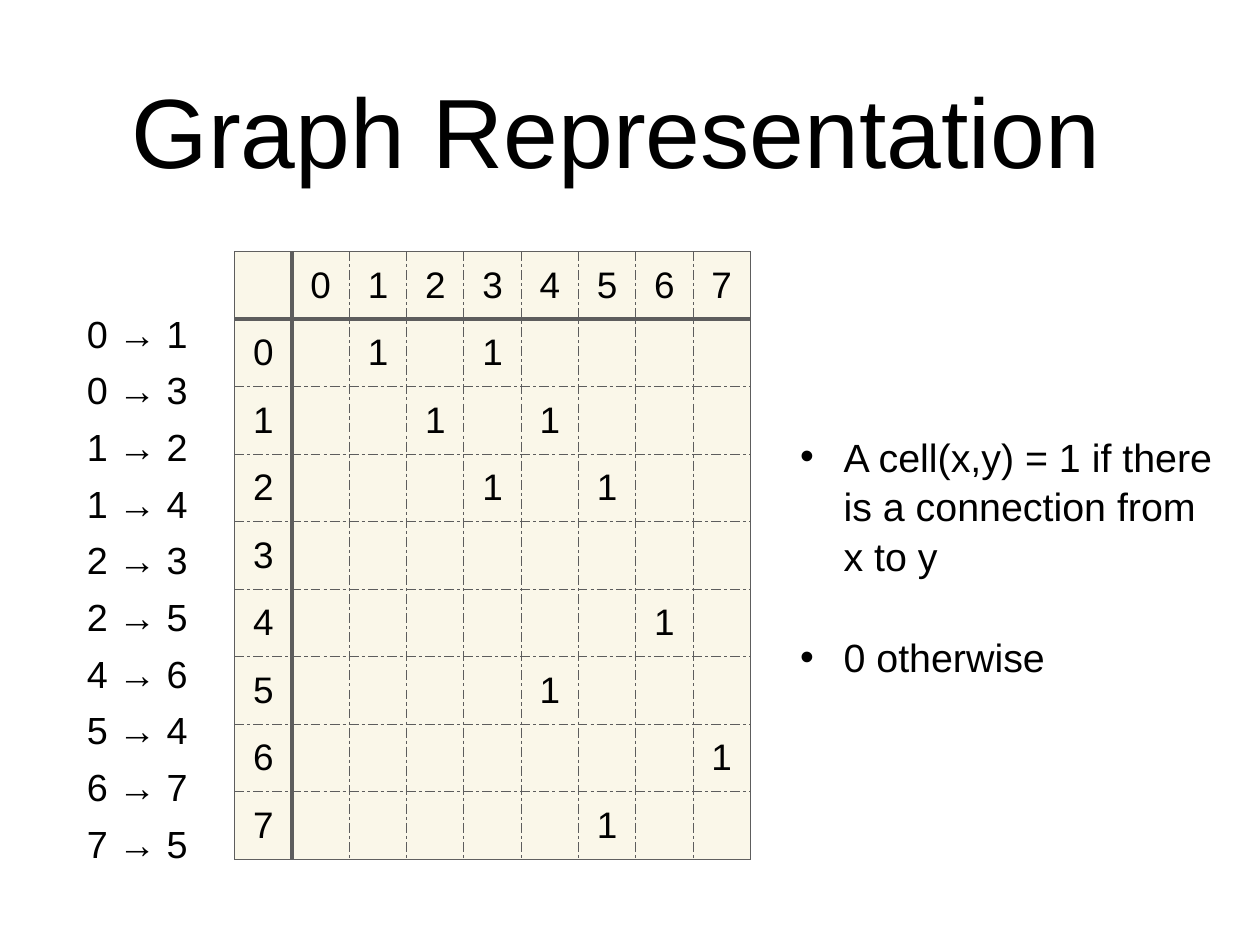
from lxml.etree import SubElement
from pptx import Presentation
from pptx.dml.color import RGBColor
from pptx.enum.text import MSO_ANCHOR, PP_ALIGN
from pptx.oxml.ns import qn
from pptx.util import Inches, Pt

FONT = "Arial"
INK = "000000"
CREAM = "FAF7E9"
GRID = "5D5D5D"
FRAME = "606060"
INSET = Inches(0.06)
NODES = 8
EDGES = [(0, 1), (0, 3), (1, 2), (1, 4), (2, 3), (2, 5), (4, 6), (5, 4), (6, 7), (7, 5)]
RULES = ["A cell(x,y) = 1 if there is a connection from x to y", "0 otherwise"]


def color(hex_string):
    """Turn a hex string into a colour."""
    return RGBColor.from_string(hex_string)


def add_run(paragraph, text, size):
    """Add one styled run to a paragraph."""
    run = paragraph.add_run()
    run.text = text
    run.font.name = FONT
    run.font.size = Pt(size)
    run.font.color.rgb = color(INK)


def add_text(slide, left, top, width, height, lines, size, align=PP_ALIGN.LEFT, spacing=1.0):
    """Add a vertically centred text box and return its paragraphs."""
    box = slide.shapes.add_textbox(Inches(left), Inches(top), Inches(width), Inches(height))
    frame = box.text_frame
    frame.word_wrap = True
    frame.vertical_anchor = MSO_ANCHOR.MIDDLE
    frame.margin_left = frame.margin_right = frame.margin_top = frame.margin_bottom = INSET
    for index, line in enumerate(lines):
        paragraph = frame.add_paragraph() if index else frame.paragraphs[0]
        paragraph.alignment = align
        paragraph.line_spacing = spacing
        add_run(paragraph, line, size)
    return frame.paragraphs


def add_bullet(paragraph):
    """Give a paragraph a hanging round bullet."""
    properties = paragraph._p.get_or_add_pPr()
    properties.set("marL", str(Inches(0.49)))
    properties.set("indent", str(-Inches(0.49)))
    bullet_color = SubElement(properties, qn("a:buClr"))
    SubElement(bullet_color, qn("a:srgbClr"), val=INK)
    SubElement(properties, qn("a:buFont"), typeface=FONT)
    SubElement(properties, qn("a:buChar"), char="•")


def add_border(cell, side, hex_string, width, dash):
    """Draw one side of a table cell."""
    line = SubElement(cell._tc.get_or_add_tcPr(), qn(f"a:ln{side}"), w=str(Pt(width)))
    fill = SubElement(line, qn("a:solidFill"))
    SubElement(fill, qn("a:srgbClr"), val=hex_string)
    SubElement(line, qn("a:prstDash"), val=dash)


def border_style(at_frame, beside_header, frame_color):
    """Choose colour, width and dash for one cell side."""
    if at_frame:
        return frame_color, 1, "solid"
    if beside_header:
        return GRID, 4, "solid"
    return GRID, 1, "dashDot"


def style_cell(cell, row, column):
    """Set the borders, fill and insets of a matrix cell."""
    add_border(cell, "L", *border_style(column == 0, column == 1, GRID))
    add_border(cell, "R", *border_style(column == NODES, column == 0, GRID))
    add_border(cell, "T", *border_style(row == 0, row == 1, FRAME))
    add_border(cell, "B", *border_style(row == NODES, row == 0, FRAME))
    cell.fill.solid()
    cell.fill.fore_color.rgb = color(CREAM)
    cell.vertical_anchor = MSO_ANCHOR.MIDDLE
    cell.margin_left = cell.margin_right = cell.margin_top = cell.margin_bottom = INSET


def cell_label(row, column):
    """Return a node number, a connection mark or nothing."""
    if row and column:
        return "1" if (row - 1, column - 1) in EDGES else ""
    return str(row + column - 1) if row + column else ""


def add_matrix(slide, left, top, width, height):
    """Add the adjacency matrix with its node headers."""
    count = NODES + 1
    matrix = slide.shapes.add_table(
        count, count, Inches(left), Inches(top), Inches(width), Inches(height)
    ).table
    matrix.first_row = matrix.horz_banding = False
    for row in range(count):
        for column in range(count):
            cell = matrix.cell(row, column)
            style_cell(cell, row, column)
            label = cell_label(row, column)
            if label:
                paragraph = cell.text_frame.paragraphs[0]
                paragraph.alignment = PP_ALIGN.CENTER
                add_run(paragraph, label, 30)


def main():
    """Build the graph representation slide."""
    presentation = Presentation()
    presentation.slide_width = Inches(14.22)
    presentation.slide_height = Inches(10.67)
    slide = presentation.slides.add_slide(presentation.slide_layouts[6])
    add_text(slide, 1.04, 0.28, 12.14, 2.36, ["Graph Representation "], 80, PP_ALIGN.CENTER)
    rules = add_text(slide, 8.97, 2.83, 4.78, 6.88, RULES, 32, spacing=1.05)
    for rule in rules:
        add_bullet(rule)
    rules[1].space_before = Pt(42)
    add_matrix(slide, 2.65, 2.84, 5.82, 6.86)
    connections = [f"{start} → {end}" for start, end in EDGES]
    add_text(slide, 0.92, 3.45, 1.33, 6.25, connections, 30.7, spacing=1.25)
    presentation.save("out.pptx")


main()
